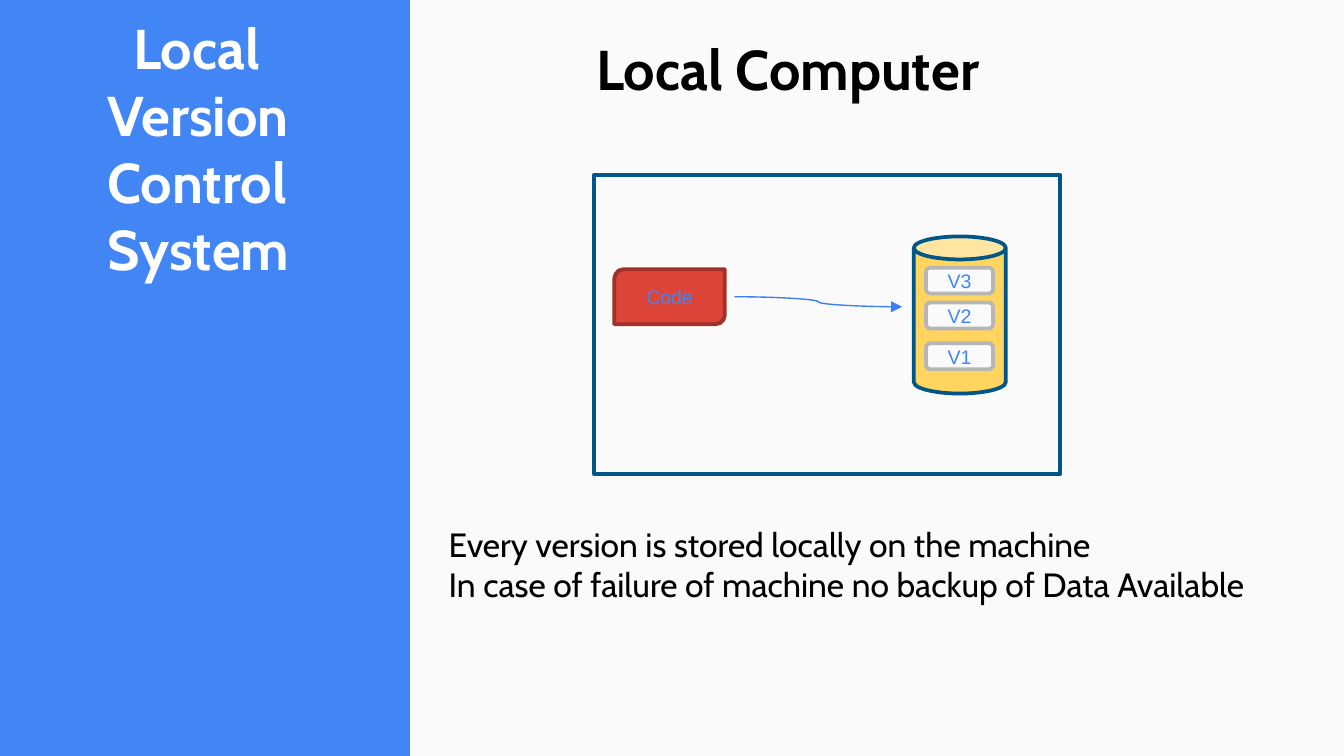
from lxml import etree
from pptx import Presentation
from pptx.dml.color import RGBColor
from pptx.enum.shapes import MSO_CONNECTOR, MSO_SHAPE
from pptx.enum.text import MSO_ANCHOR, PP_ALIGN
from pptx.oxml.ns import qn
from pptx.util import Cm, Pt

RECTANGLE = MSO_SHAPE.RECTANGLE
ROUNDED = MSO_SHAPE.ROUNDED_RECTANGLE
DIAGONAL = MSO_SHAPE.ROUND_2_DIAG_RECTANGLE
CAN = MSO_SHAPE.CAN
CURVE = MSO_CONNECTOR.CURVE
LEFT, CENTER = PP_ALIGN.LEFT, PP_ALIGN.CENTER
TOP, MIDDLE = MSO_ANCHOR.TOP, MSO_ANCHOR.MIDDLE

BLUE, WHITE, BLACK = "4285F4", "FFFFFF", "000000"
PAPER, NAVY, YELLOW = "FAFAFA", "015689", "FFD55F"


def color(hex_value):
    return RGBColor.from_string(hex_value)


def write(shape, text, size=10.5, font="Arial", fill=BLUE, bold=False,
          align=CENTER, anchor=MIDDLE):
    """Fill the shape with text, one paragraph per line."""
    frame = shape.text_frame
    frame.word_wrap = True
    frame.vertical_anchor = anchor
    frame.text = text
    for paragraph in frame.paragraphs:
        paragraph.alignment = align
        paragraph.font.size = Pt(size)
        paragraph.font.name = font
        paragraph.font.bold = bold
        paragraph.font.color.rgb = color(fill)


presentation = Presentation()
presentation.slide_width = Cm(25.4)
presentation.slide_height = Cm(14.29)
slide = presentation.slides.add_slide(presentation.slide_layouts[6])
slide.background.fill.solid()
slide.background.fill.fore_color.rgb = color(BLUE)

# Shapes from back to front: kind, position, fill, line, adjustments, label
VERSION_LEFT, VERSION_SIZE = 17.5, (1.27, 0.49)
shapes = [
    (RECTANGLE, (7.75, 0, 17.65, 14.29), PAPER, None, [], ""),
    (CAN, (17.27, 4.47, 1.74, 2.97), YELLOW, NAVY, [0.25], ""),
    (RECTANGLE, (11.23, 3.31, 8.81, 5.65), None, NAVY, [], ""),
    (DIAGONAL, (11.61, 5.09, 2.09, 1.04), "DB4437", "9F3128", [0.17, 0], "Code"),
]
for label, top in (("V1", 6.49), ("V2", 5.72), ("V3", 5.06)):
    box = (VERSION_LEFT, top, *VERSION_SIZE)
    shapes.append((ROUNDED, box, PAPER, "B6B6B6", [0.17], label))

for kind, box, fill, line, adjustments, label in shapes:
    shape = slide.shapes.add_shape(kind, *map(Cm, box))
    shape.shadow.inherit = False
    for index, value in enumerate(adjustments):
        shape.adjustments[index] = value
    if fill:
        shape.fill.solid()
        shape.fill.fore_color.rgb = color(fill)
    else:
        shape.fill.background()
    if line:
        shape.line.color.rgb = color(line)
        shape.line.width = Pt(2)
    else:
        shape.line.fill.background()
    if label:
        write(shape, label)

# Arrow from the code to the version store
arrow = slide.shapes.add_connector(CURVE, Cm(13.88), Cm(5.61), Cm(17.05), Cm(5.8))
arrow.line.color.rgb = color("3B7FF2")
arrow.line.width = Pt(0.75)
etree.SubElement(arrow.line._get_or_add_ln(), qn("a:tailEnd"), type="triangle")
etree.SubElement(arrow._element.spPr, qn("a:effectLst"))

notes = slide.shapes.add_textbox(Cm(8.23), Cm(9.78), Cm(16.94), Cm(1.7))
write(notes, "Every version is stored locally on the machine\n"
             "In case of failure of machine no backup of Data Available",
      size=18, font="Cabin", fill=BLACK, align=LEFT, anchor=TOP)

heading = slide.shapes.add_textbox(Cm(11.02), Cm(0.53), Cm(10.62), Cm(1.55))
write(heading, "Local Computer", size=30, font="Cabin", fill=BLACK, bold=True,
      align=LEFT, anchor=TOP)

title = slide.shapes.add_textbox(Cm(1.78), Cm(0.13), Cm(4.67), Cm(5.84))
write(title, "Local Version Control System", size=30, font="Cabin", fill=WHITE,
      bold=True, align=LEFT, anchor=TOP)
title_properties = title.text_frame.paragraphs[0]._p.get_or_add_pPr()
title_properties.set("marL", "0")
title_properties.set("indent", str(Cm(0.49)))

presentation.save("out.pptx")
